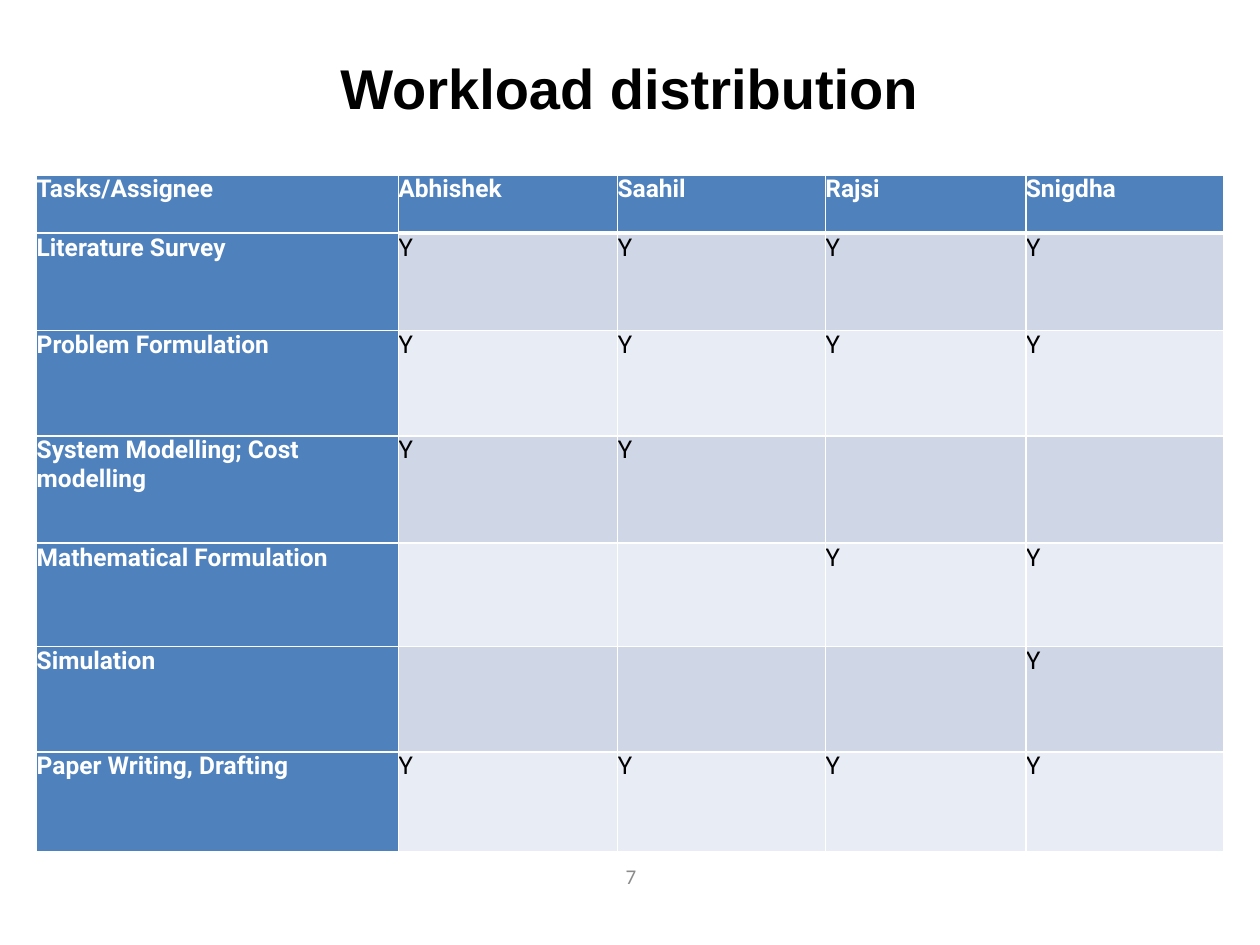
from dataclasses import dataclass

from lxml import etree
from pptx import Presentation
from pptx import util as u
from pptx.dml.color import RGBColor
from pptx.enum import text
from pptx.oxml import ns


@dataclass(frozen=True)
class Style:
    font: str
    size: int
    color: str
    bold: bool = False


@dataclass(frozen=True)
class Theme:
    title: Style = Style("Arial", 32, "000000", True)
    number: Style = Style("Calibri", 12, "8B8B8B")
    heading: Style = Style("Roboto", 14, "FFFFFF", True)
    mark: Style = Style("Roboto", 14, "000000")
    heading_fill: str = "4F81BD"
    bands: tuple[str, str] = ("CFD7E7", "E8ECF4")
    border: str = "FFFFFF"
    thin: int = 1
    thick: int = 3


@dataclass(frozen=True)
class Label:
    content: str
    left: float
    top: float
    width: float
    height: float
    style: Style
    align: text.PP_ALIGN
    wrap: bool = True


@dataclass(frozen=True)
class Task:
    name: str
    assignees: str  # initials
    height: float


THEME = Theme()
PEOPLE = ("Abhishek", "Saahil", "Rajsi", "Snigdha")
COLUMN_WIDTHS = (7.29, 4.42, 4.19, 4.04, 3.99)
HEADER_HEIGHT = 1.17
TASKS = (
    Task("Literature Survey", "ASRS", 1.96),
    Task("Problem Formulation", "ASRS", 2.13),
    Task("System Modelling; Cost modelling", "AS--", 2.16),
    Task("Mathematical Formulation", "--RS", 2.08),
    Task("Simulation", "---S", 2.13),
    Task("Paper Writing, Drafting", "ASRS", 2.01),
)
LABELS = (
    Label("Workload distribution", 5.11, 0.99, 15.16, 1.52,
          THEME.title, text.PP_ALIGN.CENTER),
    Label("7", 12.45, 17.32, 0.51, 0.69,
          THEME.number, text.PP_ALIGN.RIGHT, wrap=False),
)


def add_run(p, content: str, style: Style) -> None:
    r = p.add_run()
    r.text = content
    r.font.name = style.font
    r.font.size = u.Pt(style.size)
    r.font.bold = style.bold
    r.font.color.rgb = RGBColor.from_string(style.color)


def add_label(slide, label: Label) -> None:
    sp = slide.shapes.add_textbox(u.Cm(label.left), u.Cm(label.top),
                                  u.Cm(label.width), u.Cm(label.height))
    tf = sp.text_frame
    tf.word_wrap = label.wrap
    tf.auto_size = text.MSO_AUTO_SIZE.SHAPE_TO_FIT_TEXT
    tf.vertical_anchor = text.MSO_ANCHOR.MIDDLE
    tf.margin_left = tf.margin_right = u.Cm(0.13)
    tf.margin_top = tf.margin_bottom = u.Cm(0.13)
    p = tf.paragraphs[0]
    p.alignment = label.align
    add_run(p, label.content, label.style)


def set_borders(cell, top: int, bottom: int) -> None:
    """Draw all four cell edges; the widths given are in points."""
    tc_pr = cell._tc.get_or_add_tcPr()
    widths = {"L": THEME.thin, "R": THEME.thin, "T": top, "B": bottom}
    for side, width in widths.items():
        ln = etree.SubElement(tc_pr, ns.qn(f"a:ln{side}"), w=str(u.Pt(width)))
        fill = etree.SubElement(ln, ns.qn("a:solidFill"))
        etree.SubElement(fill, ns.qn("a:srgbClr"), val=THEME.border)


def fill_cell(cell, row: int, column: int, content: str) -> None:
    is_heading = row == 0 or column == 0
    # The thick rule under the header spans the people columns only.
    set_borders(cell,
                top=THEME.thick if row == 1 and column else THEME.thin,
                bottom=THEME.thick if row == 0 and column else THEME.thin)
    cell.margin_left = cell.margin_right = 0
    cell.margin_top = cell.margin_bottom = 0
    color = THEME.heading_fill if is_heading else THEME.bands[(row - 1) % 2]
    cell.fill.solid()
    cell.fill.fore_color.rgb = RGBColor.from_string(color)
    if content:
        add_run(cell.text_frame.paragraphs[0], content,
                THEME.heading if is_heading else THEME.mark)


def add_workload_table(slide, left: float, top: float) -> None:
    heights = [HEADER_HEIGHT, *(task.height for task in TASKS)]
    rows = [("Tasks/Assignee", *PEOPLE)]
    rows += [(task.name, *("" if a == "-" else "Y" for a in task.assignees))
             for task in TASKS]
    table = slide.shapes.add_table(
        len(rows), len(COLUMN_WIDTHS), u.Cm(left), u.Cm(top),
        u.Cm(sum(COLUMN_WIDTHS)), u.Cm(sum(heights))).table
    for column, width in zip(table.columns, COLUMN_WIDTHS):
        column.width = u.Cm(width)
    for row, height in zip(table.rows, heights):
        row.height = u.Cm(height)
    for i, row in enumerate(rows):
        for j, content in enumerate(row):
            fill_cell(table.cell(i, j), i, j, content)


def main() -> None:
    prs = Presentation()
    prs.slide_width, prs.slide_height = u.Cm(25.4), u.Cm(19.05)
    slide = prs.slides.add_slide(prs.slide_layouts[6])
    for label in LABELS:
        add_label(slide, label)
    add_workload_table(slide, left=0.74, top=3.53)
    prs.save("out.pptx")


if __name__ == "__main__":
    main()
